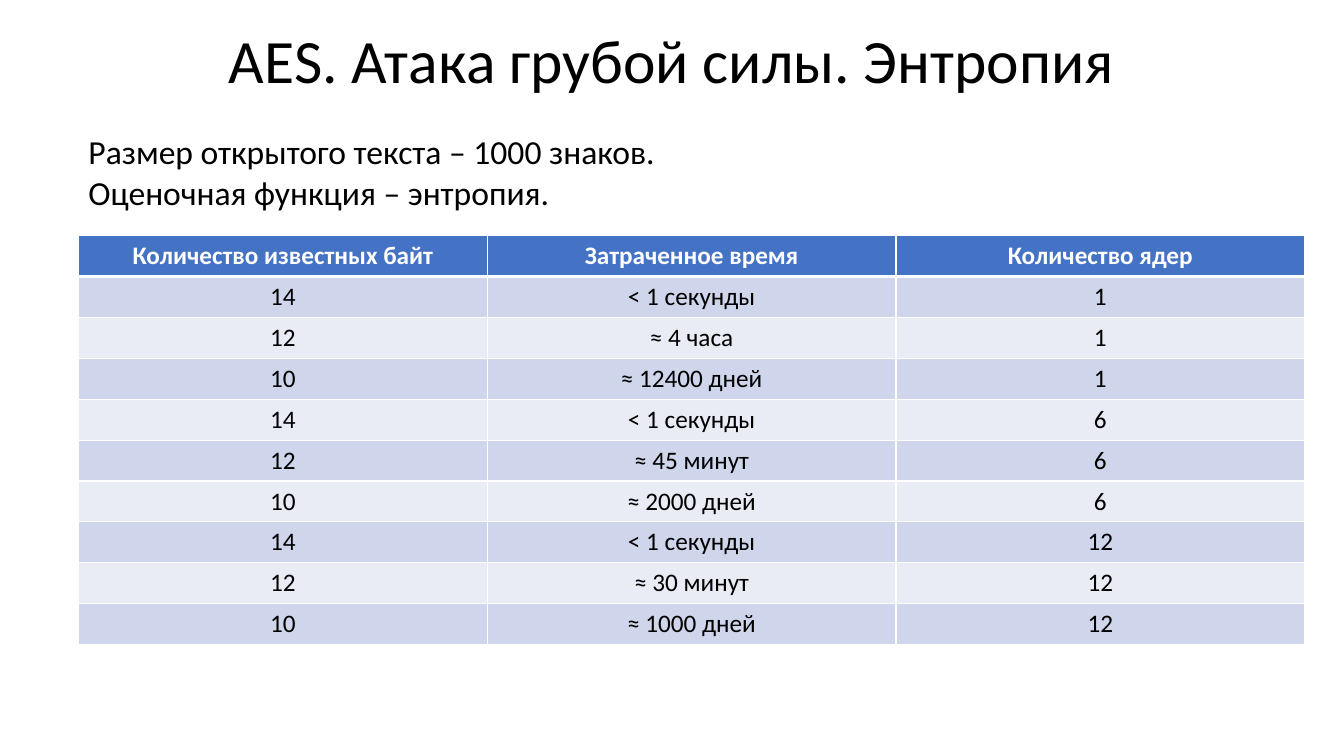
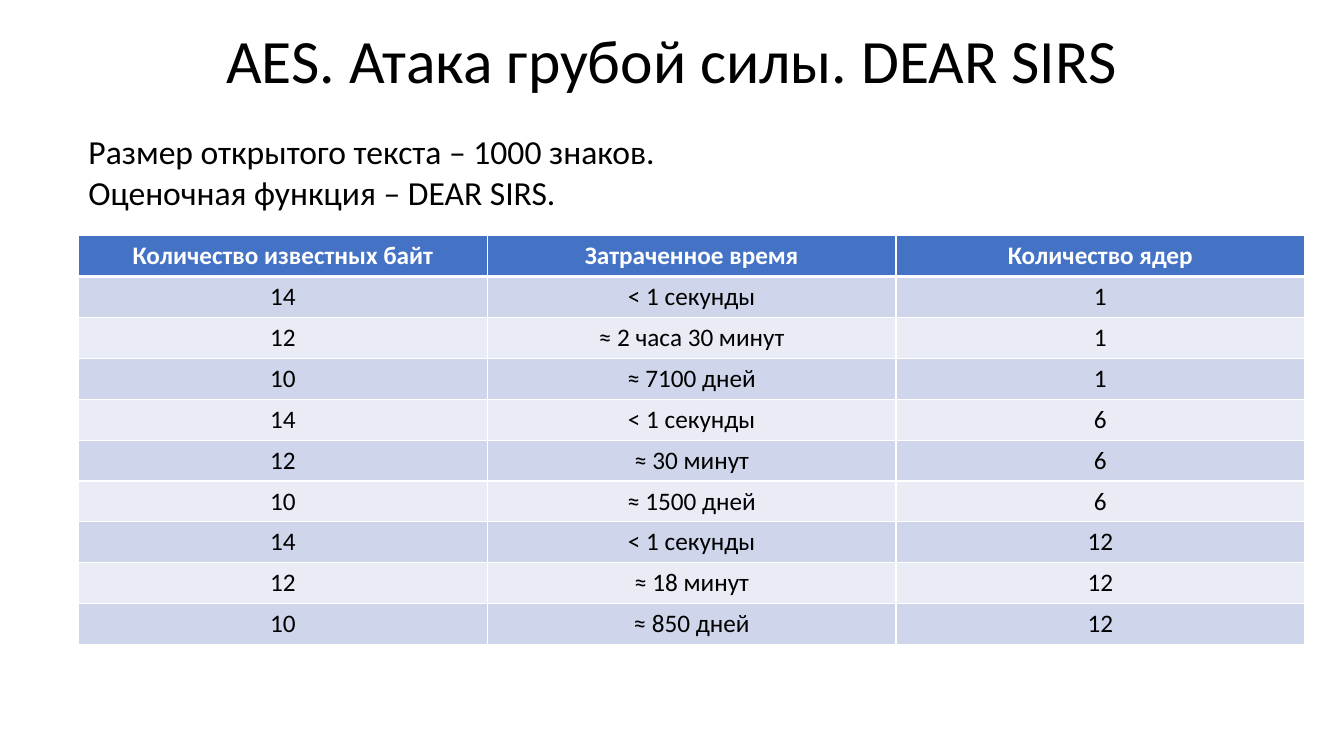
from itertools import product

from lxml.etree import SubElement
from pptx import Presentation
from pptx.dml.color import RGBColor
from pptx.enum.text import MSO_ANCHOR, PP_ALIGN
from pptx.oxml.ns import qn
from pptx.util import Cm, Pt

FONT = "Calibri"
BLACK, WHITE, BLUE = "000000", "FFFFFF", "4472C4"
BANDS = ("CFD5EA", "E9EBF5")
SLIDE_W, SLIDE_H = 33.87, 19.05
LEFT, COL_W, ROW_H = 1.98, 10.3, 1.03
HEADERS = ("Количество известных байт", "Затраченное время", "Количество ядер")
CORES = (1, 6, 12)
KNOWN_BYTES = (14, 12, 10)
INSTANT = "< 1 секунды"

SLIDES = (
    ("Энтропия", "энтропия",
     (INSTANT, "≈ 4 часа", "≈ 12400 дней",
      INSTANT, "≈ 45 минут", "≈ 2000 дней",
      INSTANT, "≈ 30 минут", "≈ 1000 дней")),
    ("DEAR SIRS", "DEAR SIRS",
     (INSTANT, "≈ 2 часа 30 минут", "≈ 7100 дней",
      INSTANT, "≈ 30 минут", "≈ 1500 дней",
      INSTANT, "≈ 18 минут", "≈ 850 дней")),
)


def rgb(color):
    return RGBColor.from_string(color)


def style(p, size, align, color=BLACK, bold=False):
    p.alignment = align
    for r in p.runs:
        r.font.name = FONT
        r.font.size = Pt(size)
        r.font.bold = bold
        r.font.color.rgb = rgb(color)


def add_text(s, box, text, size, align, anchor=MSO_ANCHOR.TOP, spacing=1.0):
    tf = s.shapes.add_textbox(*map(Cm, box)).text_frame
    tf.word_wrap = True
    tf.vertical_anchor = anchor
    tf.text = text
    for p in tf.paragraphs:
        style(p, size, align)
        p.line_spacing = spacing


def add_title(s, text):
    add_text(s, (0, 0.46, SLIDE_W, 2.26), text, 44, PP_ALIGN.CENTER,
             MSO_ANCHOR.MIDDLE, 0.9)


def add_borders(cell, top, bottom):
    tc_pr = cell._tc.get_or_add_tcPr()
    for side, width in (("L", 1), ("R", 1), ("T", top), ("B", bottom)):
        ln = SubElement(tc_pr, qn(f"a:ln{side}"), w=str(Pt(width)))
        fill = SubElement(ln, qn("a:solidFill"))
        SubElement(fill, qn("a:srgbClr"), val=WHITE)


def fill_cell(cell, text, row):
    header = row == 0
    add_borders(cell, 3 if row == 1 else 1, 3 if header else 1)
    cell.fill.solid()
    cell.fill.fore_color.rgb = rgb(BLUE if header else BANDS[(row - 1) % 2])
    cell.text = text
    style(cell.text_frame.paragraphs[0], 18, PP_ALIGN.CENTER,
          WHITE if header else BLACK, header)


def add_results(s, times):
    rows = [HEADERS]
    for (cores, known), time in zip(product(CORES, KNOWN_BYTES), times):
        rows.append((str(known), time, str(cores)))
    table = s.shapes.add_table(
        len(rows), len(HEADERS), Cm(LEFT), Cm(5.94),
        Cm(COL_W * len(HEADERS)), Cm(ROW_H * len(rows))).table
    table.first_row = table.horz_banding = False
    for column in table.columns:
        column.width = Cm(COL_W)
    for i, values in enumerate(rows):
        table.rows[i].height = Cm(ROW_H)
        for j, value in enumerate(values):
            fill_cell(table.cell(i, j), value, i)


def main():
    prs = Presentation()
    prs.slide_width, prs.slide_height = Cm(SLIDE_W), Cm(SLIDE_H)
    for topic, function, times in SLIDES:
        s = prs.slides.add_slide(prs.slide_layouts[6])
        add_title(s, f"AES. Атака грубой силы. {topic}")
        add_results(s, times)
        add_text(s, (LEFT, 3.18, COL_W * len(HEADERS), 2.35),
                 "Размер открытого текста – 1000 знаков.\n"
                 f"Оценочная функция – {function}.", 24, PP_ALIGN.JUSTIFY)
    prs.save("out.pptx")


if __name__ == "__main__":
    main()
